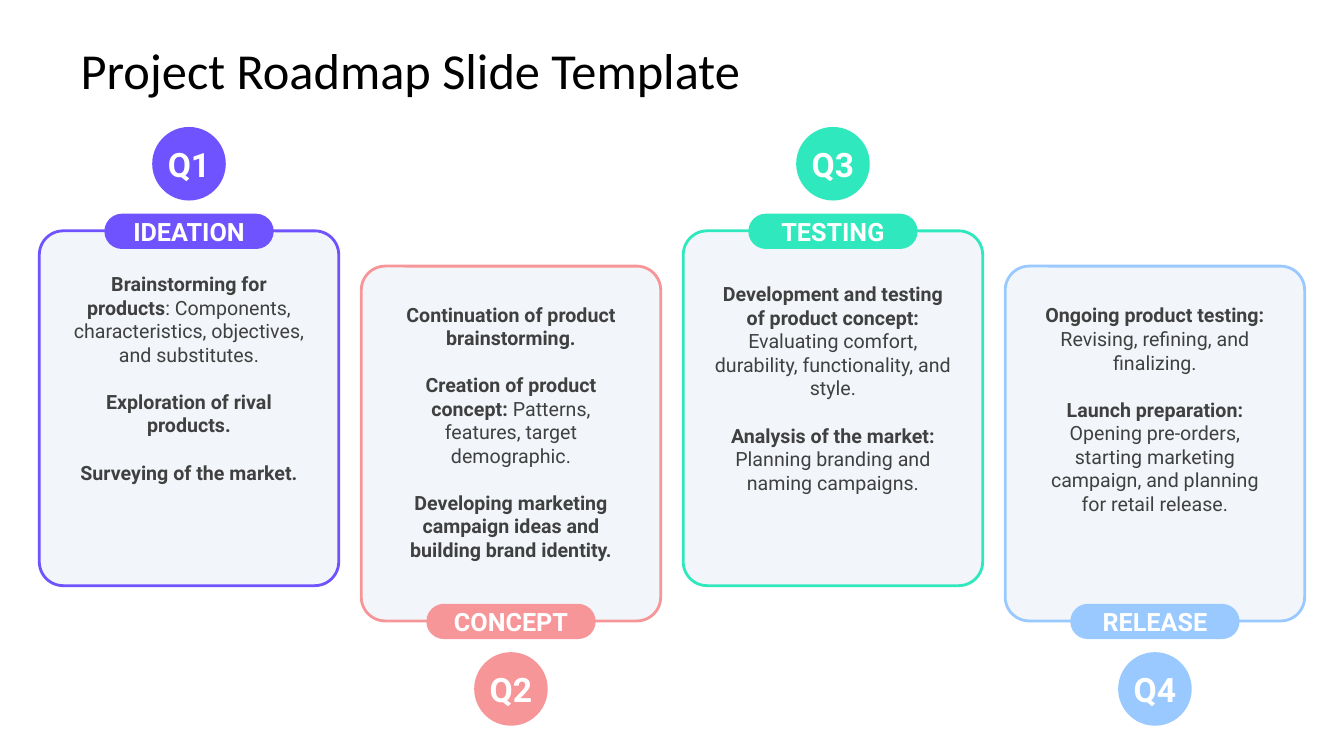
from pptx import Presentation
from pptx.dml.color import RGBColor
from pptx.enum.shapes import MSO_SHAPE
from pptx.enum.text import MSO_ANCHOR, PP_ALIGN
from pptx.util import Inches, Pt

COLORS = {
    "violet": "6F53FE", "coral": "F79699", "mint": "2FE8BD", "sky": "99C9FF",
    "card": "F2F6FA", "body": "404040", "white": "FFFFFF", "black": "000000",
}
QUARTERS = [
    ("Q1", "IDEATION", "violet", 2.7, [
        ("Brainstorming for products", ": Components, characteristics, objectives, and substitutes."),
        ("Exploration of rival products.", ""),
        ("Surveying of the market.", "")]),
    ("Q2", "CONCEPT", "coral", 3, [
        ("Continuation of product brainstorming.", ""),
        ("Creation of product concept:", " Patterns, features, target demographic."),
        ("Developing marketing campaign ideas and building brand identity.", "")]),
    ("Q3", "TESTING", "mint", 2.8, [
        ("Development and testing of product concept: ",
         "Evaluating comfort, durability, functionality, and style."),
        ("Analysis of the market: ", "Planning branding and naming campaigns.")]),
    ("Q4", "RELEASE", "sky", 3.01, [
        ("Ongoing product testing: ", "Revising, refining, and finalizing."),
        ("Launch preparation: ",
         "Opening pre-orders, starting marketing campaign, and planning for retail release.")]),
]
CARD_WIDTH, CARD_HEIGHT = 2.97, 3.52
PILL_WIDTH, PILL_HEIGHT = 1.68, 0.35
CIRCLE_SIZE = 0.73
BODY_WIDTH, BODY_HEIGHT = 2.35, 2.12
FIRST_LEFT, LAST_LEFT = 0.39, 9.97
COLUMN_STEP = (LAST_LEFT - FIRST_LEFT) / (len(QUARTERS) - 1)


def add_span(para, text, size, color, bold, name="Roboto"):
    span = para.add_run()
    span.text = text
    span.font.color.rgb = RGBColor.from_string(COLORS[color])
    font_format = {"size": Pt(size), "bold": bold, "name": name}
    for key, value in font_format.items():
        setattr(span.font, key, value)


def add_panel(kind, center, top, width, height, fill, label="", size=18):
    panel = page.shapes.add_shape(
        kind, Inches(center - width / 2), Inches(top), Inches(width), Inches(height))
    panel.shadow.inherit = False
    panel.fill.solid()
    panel.fill.fore_color.rgb = RGBColor.from_string(COLORS[fill])
    panel.line.fill.background()
    if label:
        frame_format = {"margin_left": 0, "margin_right": 0, "margin_top": 0,
                        "margin_bottom": 0, "word_wrap": False,
                        "vertical_anchor": MSO_ANCHOR.MIDDLE}
        for key, value in frame_format.items():
            setattr(panel.text_frame, key, value)
        para = panel.text_frame.paragraphs[0]
        para.alignment = PP_ALIGN.CENTER
        add_span(para, label, size, "white", True)
    return panel


deck = Presentation()
deck.slide_width, deck.slide_height = Inches(13.33), Inches(7.5)
page = deck.slides.add_slide(deck.slide_layouts[6])

title = page.shapes.add_textbox(Inches(0.67), Inches(0.3), Inches(12), Inches(0.78))
title_format = {"margin_left": Inches(0.13), "margin_right": Inches(0.13),
                "margin_top": Inches(0.07), "margin_bottom": Inches(0.07),
                "word_wrap": True, "vertical_anchor": MSO_ANCHOR.MIDDLE}
for key, value in title_format.items():
    setattr(title.text_frame, key, value)
add_span(title.text_frame.paragraphs[0], "Project Roadmap Slide Template",
         36, "black", False, "Calibri")

for index, (quarter, stage, color, body_top, items) in enumerate(QUARTERS):
    raised = index % 2 == 0
    center = FIRST_LEFT + index * COLUMN_STEP + CARD_WIDTH / 2
    card_top = 2.29 if raised else 2.64
    pill_top = 2.12 if raised else 5.99
    circle_top = 1.26 if raised else 6.47

    card = add_panel(MSO_SHAPE.ROUNDED_RECTANGLE, center, card_top,
                     CARD_WIDTH, CARD_HEIGHT, "card")
    card.adjustments[0] = 0.08
    card.line.color.rgb = RGBColor.from_string(COLORS[color])
    card.line.width = Pt(2)

    pill = add_panel(MSO_SHAPE.ROUNDED_RECTANGLE, center, pill_top,
                     PILL_WIDTH, PILL_HEIGHT, color, stage)
    pill.adjustments[0] = 0.5
    add_panel(MSO_SHAPE.OVAL, center, circle_top,
              CIRCLE_SIZE, CIRCLE_SIZE, color, quarter, 24)

    box = page.shapes.add_textbox(Inches(center - BODY_WIDTH / 2), Inches(body_top),
                                  Inches(BODY_WIDTH), Inches(BODY_HEIGHT))
    body_format = {"margin_left": 0, "margin_right": 0, "margin_top": 0,
                   "margin_bottom": 0, "word_wrap": True}
    for key, value in body_format.items():
        setattr(box.text_frame, key, value)
    for order, (lead, detail) in enumerate(items):
        para = box.text_frame.add_paragraph() if order else box.text_frame.paragraphs[0]
        para.alignment = PP_ALIGN.CENTER
        if order:
            para.space_before = Pt(16.8)
        add_span(para, lead, 14, "body", True)
        if detail:
            add_span(para, detail, 14, "body", False)

deck.save("out.pptx")
